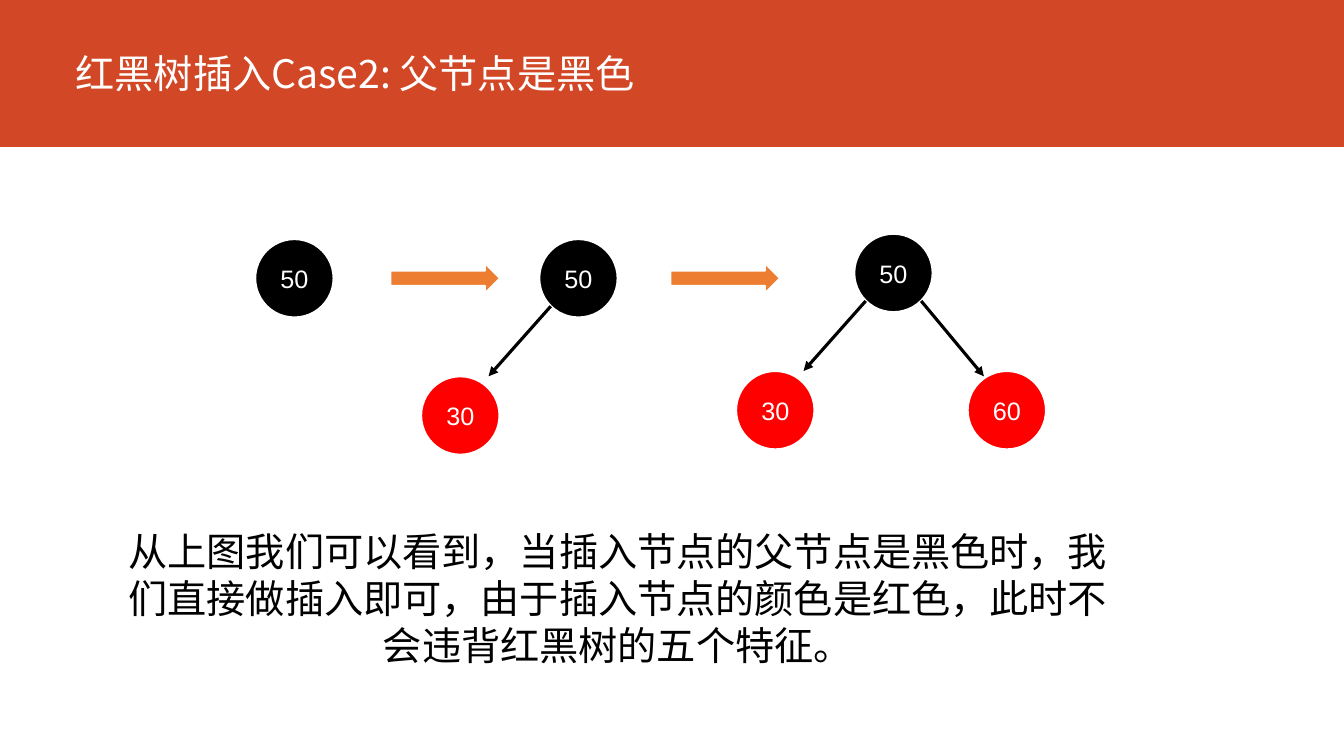
from lxml.etree import SubElement
from pptx import Presentation
from pptx.dml.color import RGBColor
from pptx.enum.shapes import MSO_CONNECTOR, MSO_SHAPE
from pptx.enum.text import MSO_ANCHOR, MSO_AUTO_SIZE, PP_ALIGN
from pptx.oxml.ns import qn
from pptx.util import Pt

COLORS = {"banner": "D24726", "black": "000000", "red": "FF0000",
          "step": "ED7D31", "white": "FFFFFF"}
NODE_SIZE = 56


def color(name):
    return RGBColor.from_string(COLORS[name])


def add_filled(kind, left, top, width, height, fill):
    shape = slide.shapes.add_shape(kind, Pt(left), Pt(top), Pt(width), Pt(height))
    shape.shadow.inherit = False
    shape.fill.solid()
    shape.fill.fore_color.rgb = color(fill)
    shape.line.color.rgb = color("white")
    shape.line.width = Pt(1.5)
    return shape


prs = Presentation()
prs.slide_width, prs.slide_height = Pt(960), Pt(540)
slide = prs.slides.add_slide(prs.slide_layouts[5])

banner = add_filled(MSO_SHAPE.RECTANGLE, 0, 0, 960, 105, "banner")
banner.line.fill.background()
slide.shapes._spTree.insert(2, banner._element)

title = slide.shapes.title
title.left, title.top, title.width, title.height = Pt(46.8), Pt(27.4), Pt(846.7), Pt(45.4)
title.text_frame.text = "红黑树插入Case2: 父节点是黑色"
title.text_frame.vertical_anchor = MSO_ANCHOR.BOTTOM
title.text_frame.auto_size = MSO_AUTO_SIZE.NONE
heading = title.text_frame.paragraphs[0]
heading.alignment = PP_ALIGN.LEFT
heading.line_spacing = 0.9
heading.font.name = "Noto Sans CJK SC"
heading.font.size = Pt(28)
heading.font.color.rgb = color("white")

nodes = [(182.3, 170.8, "50", "black"),
         (385.2, 170.8, "50", "black"), (300.8, 268.8, "30", "red"),
         (610.2, 167, "50", "black"), (525.8, 265, "30", "red"), (691.2, 265, "60", "red")]
for left, top, key, fill in nodes:
    node = add_filled(MSO_SHAPE.OVAL, left, top, NODE_SIZE, NODE_SIZE, fill)
    node.text_frame.text = key
    node.text_frame.vertical_anchor = MSO_ANCHOR.MIDDLE
    label = node.text_frame.paragraphs[0]
    label.alignment = PP_ALIGN.CENTER
    label.font.name = "Arial"
    label.font.size = Pt(18)
    label.font.color.rgb = color("white")

for left in (278.8, 478.8):
    add_filled(MSO_SHAPE.RIGHT_ARROW, left, 188, 78.4, 21.6, "step")

edges = [(393.4, 218.8, 349, 268.8), (618.4, 215, 574, 265), (658, 215, 702.8, 268.8)]
for start_x, start_y, end_x, end_y in edges:
    edge = slide.shapes.add_connector(MSO_CONNECTOR.STRAIGHT, Pt(start_x), Pt(start_y),
                                      Pt(end_x), Pt(end_y))
    edge.line.color.rgb = color("black")
    edge.line.width = Pt(2.25)
    SubElement(edge.line._get_or_add_ln(), qn("a:tailEnd"), type="triangle")
    SubElement(edge._element.spPr, qn("a:effectLst"))

explanation = slide.shapes.add_textbox(Pt(80.6), Pt(373), Pt(721.4), Pt(108.7)).text_frame
explanation.word_wrap = False
explanation.auto_size = MSO_AUTO_SIZE.SHAPE_TO_FIT_TEXT
explanation.text = "\n".join(["从上图我们可以看到，当插入节点的父节点是黑色时，我",
                              "们直接做插入即可，由于插入节点的颜色是红色，此时不",
                              "会违背红黑树的五个特征。"])
for line in explanation.paragraphs:
    line.alignment = PP_ALIGN.CENTER
    line.font.name = "Arial"
    line.font.size = Pt(28)
    line.font.color.rgb = color("black")

prs.save("out.pptx")
